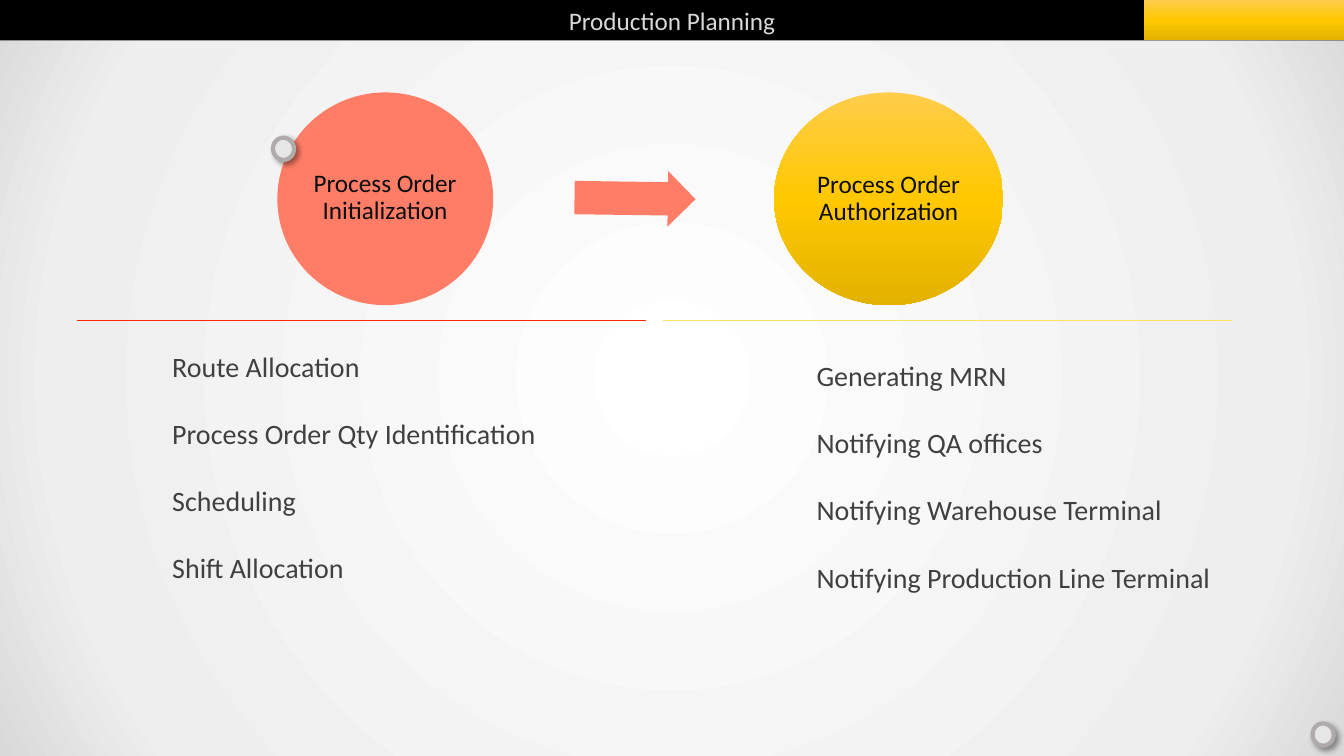
from pptx import Presentation
from pptx.dml.color import RGBColor
from pptx.enum.shapes import MSO_CONNECTOR, MSO_SHAPE
from pptx.enum.text import MSO_ANCHOR, MSO_AUTO_SIZE, PP_ALIGN
from pptx.oxml import parse_xml
from pptx.oxml.ns import nsdecls, qn
from pptx.util import Cm, Pt

CORAL = "FF7D66"
GOLD = [(0, "FFCD4B"), (50, "FFC801"), (100, "E3B200")]
BACKDROP = [(0, "FFFFFF"), (81, "EEEEEE"), (100, "D9D9D9")]
LINEAR_DOWN = '<a:lin ang="5400000" scaled="0"/>'
FROM_CENTRE = ('<a:path path="circle"><a:fillToRect l="50000" t="50000" '
               'r="50000" b="50000"/></a:path>')


def color(code):
    return RGBColor.from_string(code)


def gradient_xml(stops, direction):
    stop_list = "".join(
        f'<a:gs pos="{position * 1000}"><a:srgbClr val="{code}"/></a:gs>'
        for position, code in stops)
    return (f'<a:gradFill {nsdecls("a")} rotWithShape="1">'
            f'<a:gsLst>{stop_list}</a:gsLst>{direction}</a:gradFill>')


class PlanningSlide:
    font_name = "Calibri"

    def __init__(self, presentation):
        self.slide = presentation.slides.add_slide(presentation.slide_layouts[6])
        self.shapes = self.slide.shapes

    def background(self, stops):
        self.slide.element.cSld.insert(0, parse_xml(
            f'<p:bg {nsdecls("p", "a")}><p:bgPr>{gradient_xml(stops, FROM_CENTRE)}'
            '<a:effectLst/></p:bgPr></p:bg>'))

    def shape(self, kind, box, fill, group=None):
        """Add a borderless shape; fill is a hex string or a list of stops."""
        shapes = self.shapes if group is None else group.shapes
        shape = shapes.add_shape(kind, *map(Cm, box))
        shape.shadow.inherit = False
        shape.line.fill.background()
        if isinstance(fill, str):
            shape.fill.solid()
            shape.fill.fore_color.rgb = color(fill)
        else:
            shape.fill.background()
            properties = shape.element.spPr
            properties.replace(properties.find(qn("a:noFill")),
                               parse_xml(gradient_xml(fill, LINEAR_DOWN)))
        return shape

    def style(self, paragraph, size, code):
        paragraph.font.name = self.font_name
        paragraph.font.size = Pt(size)
        paragraph.font.color.rgb = color(code)

    def title_bar(self, text, box):
        frame = self.shape(MSO_SHAPE.RECTANGLE, box, "000000").text_frame
        frame.vertical_anchor = MSO_ANCHOR.MIDDLE
        paragraph = frame.paragraphs[0]
        paragraph.text = text
        paragraph.alignment = PP_ALIGN.CENTER
        self.style(paragraph, 18, "D9D9D9")

    def dot(self, left, top):
        dot = self.shape(MSO_SHAPE.OVAL, (left, top, 0.53, 0.56), "E7E6E6")
        dot.rotation = 348.9
        dot.line.color.rgb = color("AFABAB")
        dot.line.width = Pt(3)
        dot.element.spPr.find(qn("a:effectLst")).append(parse_xml(
            f'<a:outerShdw {nsdecls("a")} blurRad="{Pt(4)}" dist="{Pt(3)}" '
            'dir="2700000" algn="tl" rotWithShape="0"><a:srgbClr val="000000">'
            '<a:alpha val="40000"/></a:srgbClr></a:outerShdw>'))

    def stage(self, text, circle_box, text_box, fill):
        group = self.shapes.add_group_shape()
        self.shape(MSO_SHAPE.OVAL, circle_box, fill, group)
        frame = group.shapes.add_textbox(*map(Cm, text_box)).text_frame
        frame.word_wrap = True
        frame.vertical_anchor = MSO_ANCHOR.MIDDLE
        frame.margin_left = frame.margin_right = Cm(0.08)
        frame.margin_top = frame.margin_bottom = Cm(0.08)
        paragraph = frame.paragraphs[0]
        paragraph.text = text
        paragraph.alignment = PP_ALIGN.CENTER
        paragraph.line_spacing = 0.9
        self.style(paragraph, 18, "0D0D0D")

    def arrow(self, box):
        arrow = self.shape(MSO_SHAPE.RIGHT_ARROW, box, CORAL)
        arrow.rotation = 0.8
        arrow.adjustments[0] = 0.6
        arrow.adjustments[1] = 0.5

    def divider(self, start, end, top, code):
        line = self.shapes.add_connector(
            MSO_CONNECTOR.STRAIGHT, Cm(start), Cm(top), Cm(end), Cm(top))
        line.line.color.rgb = color(code)
        line.line.width = Pt(0.5)
        line.element.spPr.append(parse_xml(f'<a:effectLst {nsdecls("a")}/>'))

    def task_list(self, tasks, box):
        frame = self.shapes.add_textbox(*map(Cm, box)).text_frame
        frame.word_wrap = False
        frame.auto_size = MSO_AUTO_SIZE.SHAPE_TO_FIT_TEXT
        for index, task in enumerate(tasks):
            paragraph = frame.add_paragraph() if index else frame.paragraphs[0]
            paragraph.text = task
            if index:
                paragraph.space_before = Pt(24)
            self.style(paragraph, 20, "404040")


def main():
    presentation = Presentation()
    presentation.slide_width = Cm(33.87)
    presentation.slide_height = Cm(19.05)
    planning = PlanningSlide(presentation)

    planning.background(BACKDROP)
    planning.title_bar("Production Planning", (0, 0, 33.87, 1.02))
    planning.shape(MSO_SHAPE.RECTANGLE, (28.83, 0, 5.04, 1.02), GOLD)
    planning.dot(33.08, 18.23)

    planning.stage("Process Order Initialization", (6.99, 2.33, 5.44, 5.36),
                   (7.57, 3, 4.27, 3.99), CORAL)
    planning.stage("Process Order Authorization", (19.51, 2.33, 5.77, 5.36),
                   (20.35, 3.12, 4.09, 3.78), GOLD)
    planning.arrow((14.48, 4.3, 3.05, 1.4))
    planning.dot(6.88, 3.47)

    planning.divider(16.28, 1.95, 8.08, "FF2600")
    planning.divider(31.06, 16.71, 8.08, "FFDE67")
    planning.task_list(
        ["Route Allocation", "Process Order Qty Identification",
         "Scheduling", "Shift Allocation"], (4.09, 8.67, 9.78, 6.83))
    planning.task_list(
        ["Generating MRN", "Notifying QA offices", "Notifying Warehouse Terminal",
         "Notifying Production Line Terminal"], (20.33, 8.91, 10.54, 6.83))

    presentation.save("out.pptx")


if __name__ == "__main__":
    main()
